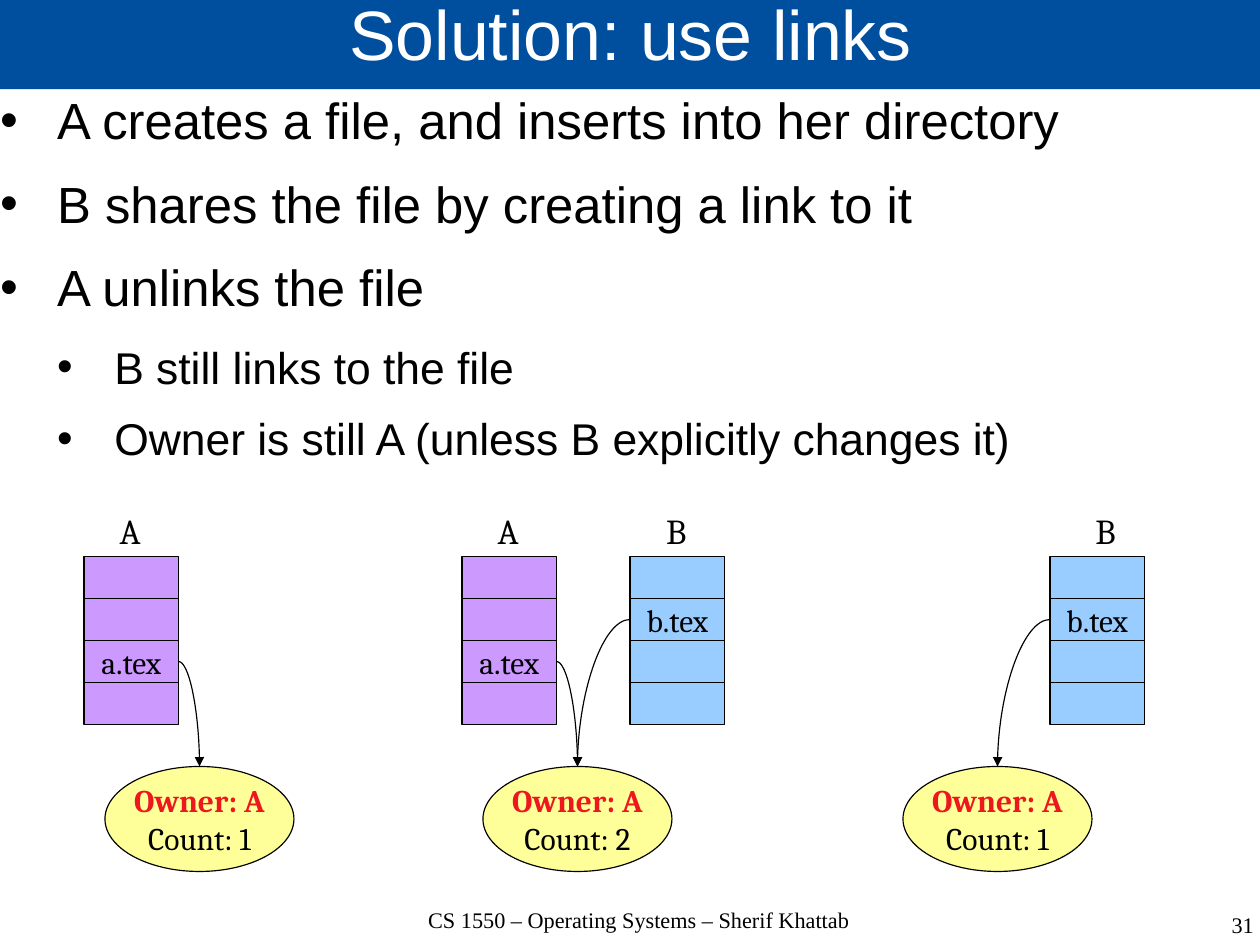
from lxml import etree
from pptx import Presentation
from pptx.dml.color import RGBColor
from pptx.enum.shapes import MSO_CONNECTOR, MSO_SHAPE
from pptx.enum.text import MSO_ANCHOR, MSO_AUTO_SIZE, PP_ALIGN
from pptx.oxml.ns import qn
from pptx.util import Cm, Inches, Pt

RECTANGLE, ELLIPSE = MSO_SHAPE.RECTANGLE, MSO_SHAPE.OVAL
CURVE = MSO_CONNECTOR.CURVE
TOP, MIDDLE = MSO_ANCHOR.TOP, MSO_ANCHOR.MIDDLE
CENTER, RIGHT = PP_ALIGN.CENTER, PP_ALIGN.RIGHT
NO_FIT = MSO_AUTO_SIZE.NONE
TOP_SITE, LEFT_SITE, RIGHT_SITE = 0, 1, 3

COLORS = {"band": "004F9E", "white": "FFFFFF", "black": "000000",
          "A": "CC99FF", "B": "99CCFF", "file": "FFFF99", "owner": "ED181E"}

WIDTH, HEIGHT = Cm(28), Cm(21)
UNIT = WIDTH / 60
DIRECTORY_TOP, FILE_TOP, LABEL_TOP = 26.5, 36.5, 24
CELL_WIDTH, CELL_HEIGHT, CELL_COUNT = 4.5, 2, 4
ENTRIES = {"A": (2, "a.tex", RIGHT_SITE), "B": (1, "b.tex", LEFT_SITE)}

BULLETS = [
    (0, "A creates a file, and inserts into her directory"),
    (0, "B shares the file by creating a link to it"),
    (0, "A unlinks the file"),
    (1, "B still links to the file"),
    (1, "Owner is still A (unless B explicitly changes it)"),
]
LEVELS = [(32, 14.2), (28, 11.4)]

SCENARIOS = [
    (5, "Count: 1", [("A", 4, 2.2)]),
    (23, "Count: 2", [("A", 22, 2.2), ("B", 30, 2.2)]),
    (43, "Count: 1", [("B", 50, 2.65)]),
]


def color(name):
    return RGBColor.from_string(COLORS[name])


def grid(*units):
    return [round(unit * UNIT) for unit in units]


def place(shape, left, top, width, height):
    shape.left, shape.top = Inches(left), Inches(top)
    shape.width, shape.height = Inches(width), Inches(height)


def set_frame(shape, anchor=TOP, wrap=True, inset=0.0):
    frame = shape.text_frame
    frame.auto_size = NO_FIT
    frame.word_wrap = wrap
    frame.vertical_anchor = anchor
    frame.margin_left = frame.margin_right = Inches(inset)
    frame.margin_top = frame.margin_bottom = Inches(inset / 2)
    return frame


def add_run(paragraph, text, size, font="Cambria", ink="black", bold=False):
    run = paragraph.add_run()
    run.text = text
    run.font.name, run.font.size, run.font.bold = font, Pt(size), bold
    run.font.color.rgb = color(ink)


def add_bullet(paragraph, level):
    properties = paragraph._p.get_or_add_pPr()
    properties.set("marL", str(Inches(0.5 * (level + 1))))
    properties.set("indent", str(Inches(-0.5)))
    bullet_color = etree.SubElement(properties, qn("a:buClr"))
    etree.SubElement(bullet_color, qn("a:srgbClr"), val=COLORS["black"])
    etree.SubElement(properties, qn("a:buFont"), typeface="Arial")
    etree.SubElement(properties, qn("a:buChar"), char="•")


def fill_title(title, box):
    place(title, *box)
    title.fill.solid()
    title.fill.fore_color.rgb = color("band")
    paragraph = set_frame(title, MIDDLE).paragraphs[0]
    paragraph.alignment, paragraph.line_spacing = CENTER, 0.69
    add_run(paragraph, "Solution: use links", 44, "Arial", "white")


def fill_body(body, box):
    place(body, *box)
    frame = set_frame(body)
    for index, (level, text) in enumerate(BULLETS):
        paragraph = frame.add_paragraph() if index else frame.paragraphs[0]
        size, space_after = LEVELS[level]
        paragraph.level = level
        paragraph.space_before, paragraph.space_after = Pt(0), Pt(space_after)
        add_bullet(paragraph, level)
        add_run(paragraph, text, size, "Arial")


def add_footer(slide, box, text, alignment):
    footer = slide.shapes.add_textbox(*[Inches(length) for length in box])
    paragraph = set_frame(footer).paragraphs[0]
    paragraph.alignment, paragraph.line_spacing = alignment, 0.96
    add_run(paragraph, text, 14, "Times New Roman")


def add_node(slide, kind, box, fill):
    node = slide.shapes.add_shape(kind, *grid(*box))
    node.shadow.inherit = False
    node.fill.solid()
    node.fill.fore_color.rgb = color(fill)
    node.line.color.rgb = color("black")
    node.line.width = Pt(0.75)
    paragraph = set_frame(node, MIDDLE, False, 0.1).paragraphs[0]
    paragraph.alignment = CENTER
    return node, paragraph


def add_directory(slide, user, left, label_offset):
    entry_row, entry_name, _ = ENTRIES[user]
    for row in range(CELL_COUNT):
        box = (left, DIRECTORY_TOP + row * CELL_HEIGHT, CELL_WIDTH, CELL_HEIGHT)
        cell, paragraph = add_node(slide, RECTANGLE, box, user)
        if row == entry_row:
            add_run(paragraph, entry_name, 19.8)
            entry = cell
    label_box = (left + label_offset - 1.15, LABEL_TOP, 2.3, 2.55)
    label = slide.shapes.add_textbox(*grid(*label_box))
    paragraph = set_frame(label, TOP, False, 0.1).paragraphs[0]
    paragraph.alignment = CENTER
    add_run(paragraph, user, 22.1)
    return entry


def add_file(slide, left, count):
    node, paragraph = add_node(slide, ELLIPSE, (left, FILE_TOP, 9, 5), "file")
    add_run(paragraph, "Owner: A", 19.8, ink="owner", bold=True)
    paragraph.add_line_break()
    add_run(paragraph, count, 19.8)
    return node


def add_link(slide, entry, site, file_node):
    link = slide.shapes.add_connector(CURVE, 0, 0, 0, 0)
    link.begin_connect(entry, site)
    link.end_connect(file_node, TOP_SITE)
    link.line.color.rgb = color("black")
    link.line.width = Pt(0.75)
    properties = link._element.spPr
    properties.find(qn("a:prstGeom")).set("prst", "curvedConnector2")
    etree.SubElement(properties.find(qn("a:ln")), qn("a:tailEnd"), type="triangle")
    etree.SubElement(properties, qn("a:effectLst"))


def add_scenario(slide, file_left, count, directories):
    file_node = add_file(slide, file_left, count)
    for user, left, label_offset in directories:
        entry = add_directory(slide, user, left, label_offset)
        add_link(slide, entry, ENTRIES[user][2], file_node)


def main():
    presentation = Presentation()
    presentation.slide_width = WIDTH
    presentation.slide_height = HEIGHT
    slide = presentation.slides.add_slide(presentation.slide_layouts[1])
    fill_title(slide.shapes.title, (0, -0.03, 11.04, 0.81))
    fill_body(slide.placeholders[1], (0, 0.78, 11.04, 7.18))
    add_footer(slide, (3.07, 7.94, 5.04, 0.55),
               "CS 1550 – Operating Systems – Sherif Khattab", CENTER)
    add_footer(slide, (8.44, 7.99, 2.53, 0.55), "31", RIGHT)
    for scenario in SCENARIOS:
        add_scenario(slide, *scenario)
    presentation.save("out.pptx")


if __name__ == "__main__":
    main()
